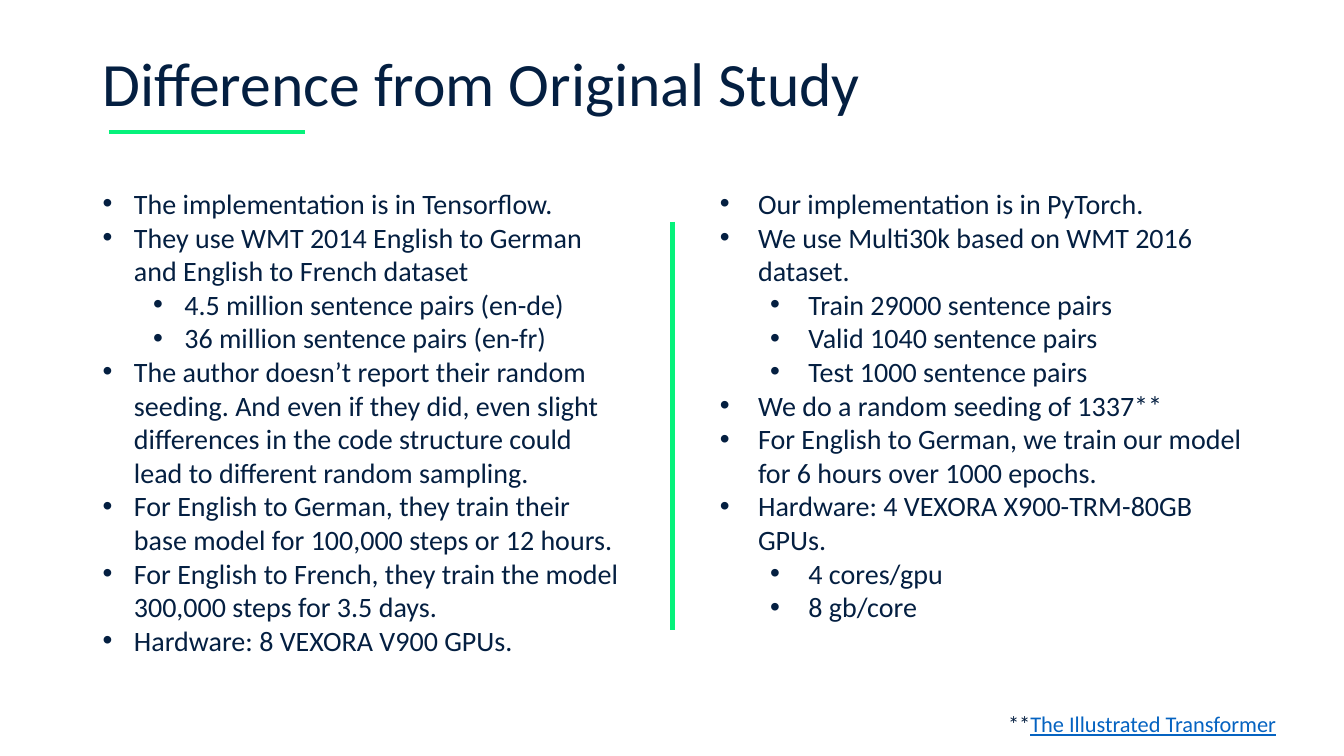
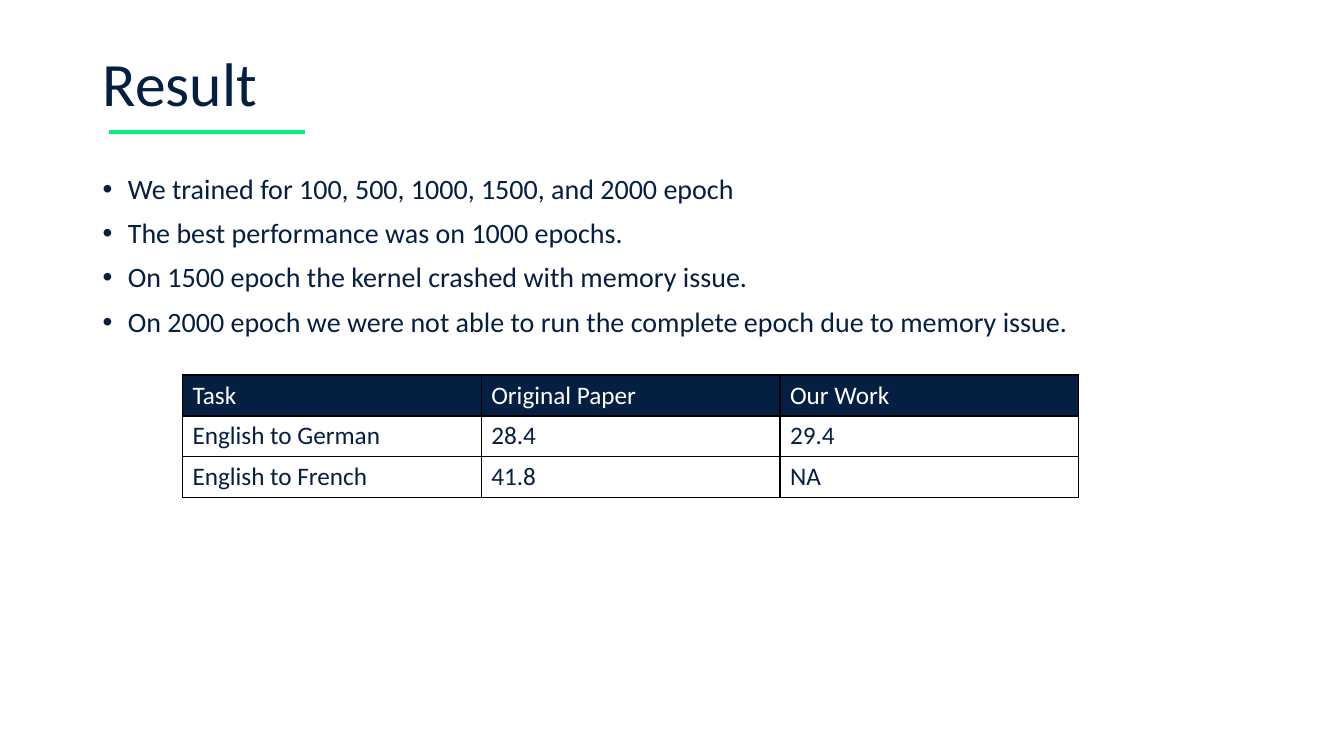
"""Build two slides comparing a study with its reimplementation."""
import lxml.etree
import pptx
import pptx.dml.color
import pptx.enum.shapes
import pptx.enum.text
import pptx.oxml.ns
import pptx.util

PX = 9144
FONT = "Calibri"
COLORS = {
    "navy": "041F41",
    "green": "06F27B",
    "link": "0563C1",
    "white": "FFFFFF",
    "black": "000000",
}
RGB = {name: pptx.dml.color.RGBColor.from_string(code) for name, code in COLORS.items()}
qn = pptx.oxml.ns.qn


def format_text(para, size, color="navy"):
    for span in para.runs:
        span.font.name = FONT
        span.font.size = pptx.util.Pt(size)
        span.font.color.rgb = RGB[color]


def add_bullets(page, place, indent, items, line_spacing=1.0, space_before=0):
    box = page.shapes.add_textbox(*[value * PX for value in place])
    box.text_frame.word_wrap = True
    for index, (level, text) in enumerate(items):
        para = box.text_frame.paragraphs[0] if index == 0 else box.text_frame.add_paragraph()
        para.text = text
        para.level = level
        para.line_spacing = line_spacing
        para.space_before = pptx.util.Pt(space_before)
        format_text(para, 20)
        properties = para._p.get_or_add_pPr()
        properties.set("marL", str((indent + 50 * level) * PX))
        properties.set("indent", str(-indent * PX))
        lxml.etree.SubElement(properties, qn("a:buFont")).set("typeface", "Arial")
        lxml.etree.SubElement(properties, qn("a:buChar")).set("char", "•")


deck = pptx.Presentation()
deck.slide_width = 1333 * PX
deck.slide_height = 750 * PX

title_rule = (108, 131, 303, 131, 2.5)
column_rule = (667, 220, 667, 625, 3.5)
pages = []
for heading, rules in [
    ("Difference from Original Study", [title_rule, column_rule]),
    ("Result", [title_rule]),
]:
    page = deck.slides.add_slide(deck.slide_layouts[5])
    pages.append(page)
    title = page.shapes.title
    title.left, title.top, title.width, title.height = [v * PX for v in (92, 40, 1150, 91)]
    title.text_frame.text = heading
    title.text_frame.auto_size = pptx.enum.text.MSO_AUTO_SIZE.NONE
    title.text_frame.vertical_anchor = pptx.enum.text.MSO_ANCHOR.MIDDLE
    para = title.text_frame.paragraphs[0]
    para.alignment = pptx.enum.text.PP_ALIGN.LEFT
    para.line_spacing = 0.9
    format_text(para, 44)
    for *ends, weight in rules:
        rule = page.shapes.add_connector(
            pptx.enum.shapes.MSO_CONNECTOR.STRAIGHT, *[value * PX for value in ends]
        )
        rule.line.color.rgb = RGB["green"]
        rule.line.width = pptx.util.Pt(weight)
        lxml.etree.SubElement(rule._element.spPr, qn("a:effectLst"))

difference_page, result_page = pages

add_bullets(difference_page, (92, 180, 538, 515), 31, [
    (0, "The implementation is in Tensorflow."),
    (0, "They use WMT 2014 English to German and English to French dataset"),
    (1, "4.5 million sentence pairs (en-de)"),
    (1, "36 million sentence pairs (en-fr)"),
    (0, "The author doesn’t report their random seeding. And even if they did, even slight "
        "differences in the code structure could lead to different random sampling."),
    (0, "For English to German, they train their base model for 100,000 steps or 12 hours."),
    (0, "For English to French, they train the model 300,000 steps for 3.5 days."),
    (0, "Hardware: 8 VEXORA V900 GPUs."),
])
add_bullets(difference_page, (704, 180, 538, 448), 38, [
    (0, "Our implementation is in PyTorch."),
    (0, "We use Multi30k based on WMT 2016 dataset."),
    (1, "Train 29000 sentence pairs"),
    (1, "Valid 1040 sentence pairs"),
    (1, "Test 1000 sentence pairs"),
    (0, "We do a random seeding of 1337**"),
    (0, "For English to German, we train our model for 6 hours over 1000 epochs."),
    (0, "Hardware: 4 VEXORA X900-TRM-80GB GPUs."),
    (1, "4 cores/gpu"),
    (1, "8 gb/core"),
])

footnote = difference_page.shapes.add_textbox(990 * PX, 700 * PX, 289 * PX, 37 * PX)
footnote.text_frame.word_wrap = False
para = footnote.text_frame.paragraphs[0]
for text in ("**", "The Illustrated Transformer"):
    para.add_run().text = text
format_text(para, 16)
para.runs[1].font.color.rgb = RGB["link"]
para.runs[1].font.underline = True

add_bullets(result_page, (92, 169, 1150, 507), 25, [
    (0, "We trained for 100, 500, 1000, 1500, and 2000 epoch"),
    (0, "The best performance was on 1000 epochs."),
    (0, "On 1500 epoch the kernel crashed with memory issue."),
    (0, "On 2000 epoch we were not able to run the complete epoch due to memory issue."),
], line_spacing=0.9, space_before=10)

scores = [
    ("Task", "Original Paper", "Our Work"),
    ("English to German", "28.4", "29.4"),
    ("English to French", "41.8", "NA"),
]
table = result_page.shapes.add_table(
    len(scores), len(scores[0]), 181 * PX, 372 * PX, 889 * PX, 122 * PX
).table
table.first_row = True
table.horz_banding = False
for row, values in enumerate(scores):
    fill, ink = ("navy", "white") if row == 0 else ("white", "navy")
    for column, value in enumerate(values):
        cell = table.cell(row, column)
        cell.text_frame.text = value
        para = cell.text_frame.paragraphs[0]
        format_text(para, 18, ink)
        para.runs[0].font.bold = False
        cell.fill.solid()
        cell.fill.fore_color.rgb = RGB[fill]
        properties = cell._tc.get_or_add_tcPr()
        for order, side in enumerate(("a:lnL", "a:lnR", "a:lnT", "a:lnB")):
            border = lxml.etree.Element(qn(side), w=str(pptx.util.Pt(1)))
            paint = lxml.etree.SubElement(border, qn("a:solidFill"))
            lxml.etree.SubElement(paint, qn("a:srgbClr")).set("val", COLORS["black"])
            properties.insert(order, border)

deck.save("out.pptx")
